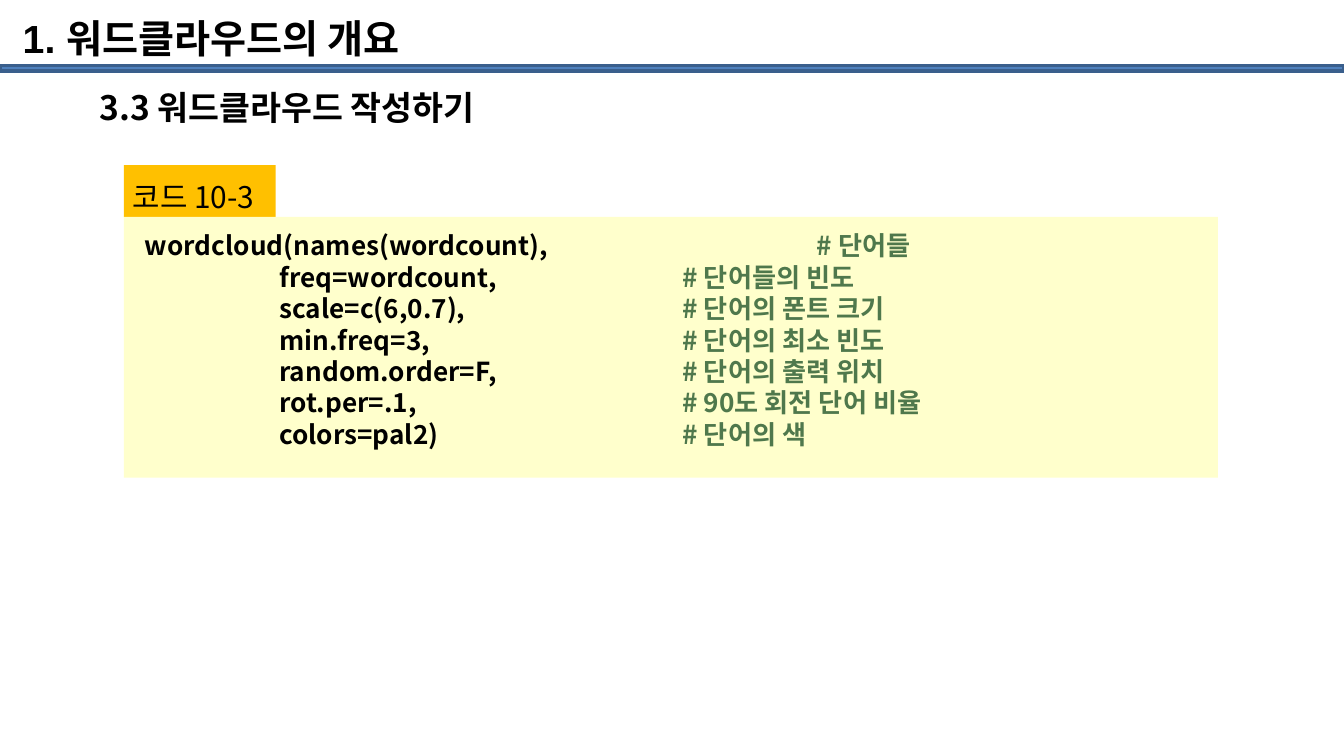
from lxml import etree
from pptx import Presentation
from pptx.dml.color import RGBColor
from pptx.enum.shapes import MSO_SHAPE
from pptx.oxml.ns import qn
from pptx.util import Cm, Pt

RECTANGLE = MSO_SHAPE.RECTANGLE
KOREAN_FONT = "Noto Sans CJK KR"
TAB_STEP = 2.54
COLORS = {
    "bar": "4F81BD",
    "bar_edge": "3A5F8C",
    "label": "FFC000",
    "panel": "FFFFCC",
    "text": "000000",
    "comment": "4F784C",
}


def add_rectangle(left, top, width, height, fill, edge=None):
    shape = slide.shapes.add_shape(RECTANGLE, Cm(left), Cm(top), Cm(width), Cm(height))
    shape.shadow.inherit = False
    shape.fill.solid()
    shape.fill.fore_color.rgb = RGBColor.from_string(COLORS[fill])
    if edge:
        shape.line.color.rgb = RGBColor.from_string(COLORS[edge])
        shape.line.width = Pt(2)
    else:
        shape.line.fill.background()


def add_text(left, top, width, height, lines, size, font=KOREAN_FONT,
             bold=True, wrap=True, spacing=None):
    """Each line is a list of (text, color) runs."""
    box = slide.shapes.add_textbox(Cm(left), Cm(top), Cm(width), Cm(height))
    frame = box.text_frame
    frame.word_wrap = wrap
    for index, runs in enumerate(lines):
        paragraph = frame.add_paragraph() if index else frame.paragraphs[0]
        if spacing:
            paragraph.line_spacing = Pt(spacing)
        for text, color in runs:
            run = paragraph.add_run()
            run.text = text
            run.font.size = Pt(size)
            run.font.bold = bold
            run.font.color.rgb = RGBColor.from_string(COLORS[color])
            run.font.name = font
            etree.SubElement(run.font._element, qn("a:ea"), typeface=KOREAN_FONT)
    return frame


presentation = Presentation()
presentation.slide_width = Cm(25.4)
presentation.slide_height = Cm(14.29)
slide = presentation.slides.add_slide(presentation.slide_layouts[6])

# Header bar and headings
add_rectangle(0, 1.24, 25.4, 0.1, "bar", "bar_edge")
subtitle = add_text(1.19, 1.52, 23.75, 11.81,
                    [[("3.3 워드클라우드 작성하기", "text")]], 18, spacing=21.6)
subtitle.margin_left = Cm(0.69)

# Code label and panel
add_rectangle(2.34, 3.12, 2.87, 0.98, "label")
add_rectangle(2.34, 4.1, 20.68, 4.93, "panel")
add_text(2.26, 3.25, 3.05, 0.94, [[("코드 10-3", "text")]], 16,
         bold=False, wrap=False, spacing=19.2)

# Code listing: arguments and comments are aligned on tab stops
code = [
    ("wordcloud(names(wordcount),", "# 단어들"),
    ("\tfreq=wordcount,", "# 단어들의 빈도"),
    ("\tscale=c(6,0.7),", "# 단어의 폰트 크기"),
    ("\tmin.freq=3,", "# 단어의 최소 빈도"),
    ("\trandom.order=F,", "# 단어의 출력 위치"),
    ("\trot.per=.1,", "# 90도 회전 단어 비율"),
    ("\tcolors=pal2)", "# 단어의 색"),
]
code_lines = [[(call + "\t", "text"), (comment, "comment")] for call, comment in code]
listing = add_text(2.49, 4.22, 20.19, 4.45, code_lines, 14, spacing=16.8)
for index, paragraph in enumerate(listing.paragraphs):
    properties = paragraph._p.get_or_add_pPr()
    tab_list = etree.SubElement(properties, qn("a:tabLst"))
    for stop in (1, 4) if index else (5,):
        etree.SubElement(tab_list, qn("a:tab"), pos=str(Cm(stop * TAB_STEP)), algn="l")

# Slide title
title = add_text(0.25, 0.18, 21.9, 1.42,
                 [[("1. 워드클라우드의 개요", "text")]], 21, font="Arial")
title.margin_left = title.margin_right = Cm(0.18)
title.margin_top = title.margin_bottom = Cm(0.1)

presentation.save("out.pptx")
